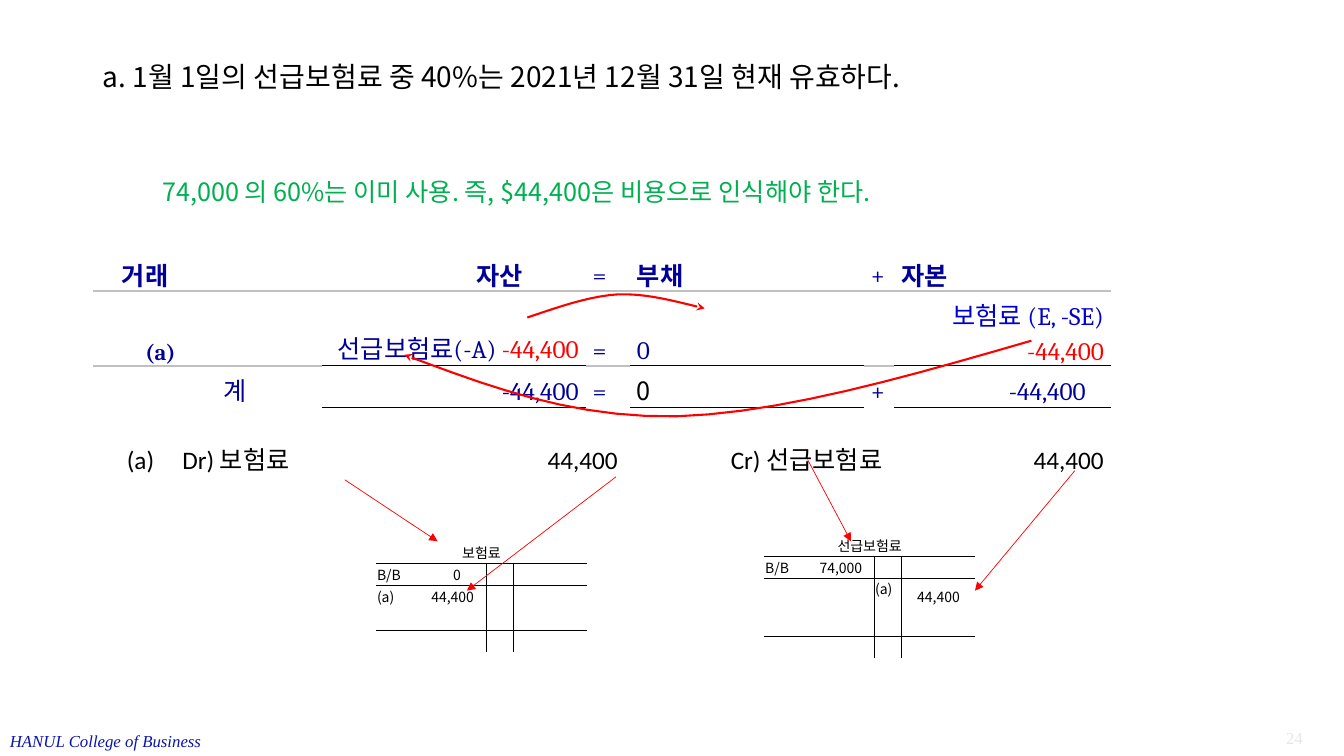
from itertools import product

from lxml import etree
from pptx import Presentation
from pptx.dml.color import RGBColor
from pptx.enum import shapes, text
from pptx.oxml import ns
from pptx.util import Inches, Pt

COLORS = {"black": "000000", "white": "FFFFFF", "navy": "000099", "blue": "0000CC",
          "red": "FF0000", "green": "00B050", "grey": "C0C0C0", "footer": "0915AF",
          "number": "E7E6E6"}
SANS, SERIF, ROMAN = "Noto Sans CJK KR", "Cambria", "Times New Roman"
LEFT, CENTER, RIGHT = text.PP_ALIGN.LEFT, text.PP_ALIGN.CENTER, text.PP_ALIGN.RIGHT
TOP, MIDDLE, BOTTOM = text.MSO_ANCHOR.TOP, text.MSO_ANCHOR.MIDDLE, text.MSO_ANCHOR.BOTTOM
PLAIN_TABLE = "{2D5ABB26-0587-4C30-8999-92F81FD0307C}"
TC_ORDER = ["lnL", "lnR", "lnT", "lnB", "noFill", "solidFill"]


def write(paragraph, words, size=18, font=SANS, color="black", bold=False, italic=False,
          align=LEFT, spacing=None):
    """Add a formatted run to a paragraph."""
    run = paragraph.add_run()
    run.text = words
    run.font.size, run.font.name = Pt(size), font
    run.font.bold, run.font.italic = bold, italic
    run.font.color.rgb = RGBColor.from_string(COLORS[color])
    east_asian = etree.SubElement(run._r.get_or_add_rPr(), ns.qn("a:ea"))
    east_asian.set("typeface", SANS)
    paragraph.alignment = align
    if spacing:
        paragraph.line_spacing = spacing


def add_text(slide, box, words, **style):
    """Place a wrapped text box and return its paragraph."""
    frame = slide.shapes.add_textbox(*map(Inches, box)).text_frame
    frame.word_wrap = True
    write(frame.paragraphs[0], words, **style)
    return frame.paragraphs[0]


def add_grid(slide, left, top, widths, heights, fill=None):
    """Add an unstyled table with small empty cells."""
    frame = slide.shapes.add_table(len(heights), len(widths), Inches(left), Inches(top),
                                   Inches(sum(widths)), Inches(sum(heights)))
    grid = frame.table
    grid.first_row = grid.horz_banding = False
    grid._tbl.tblPr.find(ns.qn("a:tableStyleId")).text = PLAIN_TABLE
    for column, width in zip(grid.columns, widths):
        column.width = Inches(width)
    for row, height in zip(grid.rows, heights):
        row.height = Inches(height)
    for cell in grid.iter_cells():
        cell.margin_top = cell.margin_bottom = 0
        paragraph = cell.text_frame.paragraphs[0]._p
        etree.SubElement(paragraph, ns.qn("a:endParaRPr")).set("sz", "600")
        if fill:
            cell.fill.solid()
            cell.fill.fore_color.rgb = RGBColor.from_string(COLORS[fill])
        else:
            cell.fill.background()
    return grid


def fill_cell(cell, words, left=0.07, right=0.07, anchor=BOTTOM, **style):
    """Write into a cell with its margins and anchor."""
    cell.margin_left, cell.margin_right = Inches(left), Inches(right)
    cell.vertical_anchor = anchor
    write(cell.text_frame.paragraphs[0], words, **style)


def add_border(cell, side, color, width):
    """Draw one border of a cell."""
    properties = cell._tc.get_or_add_tcPr()
    line = etree.SubElement(properties, ns.qn("a:ln" + side), w=str(Pt(width)))
    solid = etree.SubElement(line, ns.qn("a:solidFill"))
    etree.SubElement(solid, ns.qn("a:srgbClr"), val=COLORS[color])
    properties[:] = sorted(properties, key=lambda e: TC_ORDER.index(etree.QName(e).localname))


def rule_below(grid, row, columns, color, width):
    """Draw a horizontal rule under a row across the given columns."""
    for column in columns:
        add_border(grid.cell(row, column), "B", color, width)
        add_border(grid.cell(row + 1, column), "T", color, width)


def style_arrow(arrow, head, width):
    """Give a line its red colour, width and arrowhead."""
    arrow.line.color.rgb = RGBColor.from_string(COLORS["red"])
    arrow.line.width = Pt(width)
    etree.SubElement(arrow.line._get_or_add_ln(), ns.qn("a:tailEnd"), type=head)


def add_arrow(slide, start, end):
    """Draw a thin straight arrow."""
    arrow = slide.shapes.add_connector(shapes.MSO_CONNECTOR.STRAIGHT,
                                       *map(Inches, start + end))
    style_arrow(arrow, "triangle", 0.5)
    etree.SubElement(arrow._element.spPr, ns.qn("a:effectLst"))


def add_curve(slide, start, *segments, steps=10):
    """Draw a curved arrow through cubic segments."""
    points = [start]
    for controls in segments:
        knots = [points[-1], *controls]
        for step in range(1, steps + 1):
            t = step / steps
            weights = ((1 - t) ** 3, 3 * t * (1 - t) ** 2, 3 * t * t * (1 - t), t ** 3)
            points.append(tuple(sum(w * knot[axis] for w, knot in zip(weights, knots))
                                for axis in (0, 1)))
    outline = [(Inches(x), Inches(y)) for x, y in points]
    builder = slide.shapes.build_freeform(*outline[0])
    builder.add_line_segments(outline[1:], close=False)
    curve = builder.convert_to_shape()
    curve.fill.background()
    style_arrow(curve, "stealth", 1.5)
    curve.shadow.inherit = False


def add_title(slide, box, words):
    """Move and format the title placeholder."""
    title = slide.shapes.title
    title.left, title.top, title.width, title.height = map(Inches, box)
    title.text_frame.vertical_anchor = MIDDLE
    write(title.text_frame.paragraphs[0], words, size=20, spacing=0.9)


def add_equation(slide, left, top):
    """Build the accounting equation table."""
    widths = [0.65, 0.16, 0.16, 0.1, 1.12, 0.91, 0.64, 0.32, 0.75, 0.44, 2.32, 0.3, 2.15,
              0.27, 0.16]
    grid = add_grid(slide, left, top, widths, [0.35, 0.4, 0.74, 0.41, 0.26], "white")
    spans = [[(1, 2), (3, 6)], [(0, 4), (6, 8), (13, 14)],
             [(0, 1), (2, 4), (5, 8), (13, 14)], [(0, 1), (2, 3), (5, 8), (13, 14)],
             [(0, 1), (2, 4), (5, 8), (13, 14)]]
    for row, pairs in enumerate(spans):
        for first, last in pairs:
            grid.cell(row, first).merge(grid.cell(row, last))
    rule_below(grid, 1, range(13), "grey", 1.5)
    rule_below(grid, 2, [5, 6, 7, 8, 10, 12], "black", 1)

    bold, right = {"bold": True}, {"align": RIGHT}
    entries = [
        (1, 0, "거래", {"left": 0.29, **bold}), (1, 6, "자산", {"align": CENTER, **bold}),
        (1, 9, "=", {}), (1, 10, "부채", bold), (1, 11, "+", {}), (1, 12, "자본", bold),
        (2, 0, "(a)", {"size": 16, **bold, **right}), (2, 5, "선급보험료(-A) ", right),
        (2, 5, "-44,400", {"color": "red", **right}), (2, 9, "=", {}), (2, 10, "0", {}),
        (2, 12, "보험료 (E, -SE)", {"color": "blue", **right}),
        (3, 4, "계", {"left": 0.15}), (3, 5, "-44,400", right), (3, 9, "=", {}),
        (3, 10, "0", {"font": SANS, "color": "black"}), (3, 11, "+", {}),
        (3, 12, "-44,400", {"right": 0.25, **right})]
    for row, column, words, style in entries:
        base = {"font": SERIF, "color": "navy", "spacing": 1.15}
        fill_cell(grid.cell(row, column), words, **{**base, **style})
    expense = grid.cell(2, 12).text_frame.add_paragraph()
    write(expense, "-44,400", font=SERIF, color="red", align=RIGHT, spacing=1.15)


def add_journal(slide, box):
    """Write the journal entry on tab stops."""
    entry = add_text(slide, box, "(a)\tDr) 보험료\t44,400\tCr) 선급보험료\t44,400",
                     font="Calibri")
    tabs = etree.SubElement(entry._p.get_or_add_pPr(), ns.qn("a:tabLst"))
    for position, side in [(0.55, "l"), (4.87, "r"), (5.99, "l"), (9.69, "r")]:
        etree.SubElement(tabs, ns.qn("a:tab"), pos=str(Inches(position)), algn=side)


def add_account(slide, left, top, name, entries, posting_height=0.22):
    """Build a T account with its entries."""
    grid = add_grid(slide, left, top, [0.36, 0.73, 0.27, 0.73],
                    [0.22, 0.22, posting_height, 0.22, 0.22])
    grid.cell(0, 0).merge(grid.cell(0, 3))
    for row in (0, 3):
        rule_below(grid, row, range(4), "black", 0.5)
    for row, (column, side) in product(range(1, 5), [(1, "R"), (2, "L")]):
        add_border(grid.cell(row, column), side, "black", 0.5)
    fill_cell(grid.cell(0, 0), name, 0.01, 0.01, MIDDLE, size=10, align=CENTER)
    for row, column, words, gap, anchor in entries:
        fill_cell(grid.cell(row, column), words, 0.01, gap, anchor, size=10,
                  align=RIGHT if column % 2 else LEFT)


def build_slide(deck):
    """Assemble the adjusting entry slide."""
    slide = deck.slides.add_slide(deck.slide_layouts[5])
    add_text(slide, (0, 7.2, 2.4, 0.3), "HANUL College of Business", size=12, font=ROMAN,
             color="footer", italic=True)
    add_text(slide, (12.02, 7.17, 1, 0.3), "24", size=12, font=ROMAN, color="number",
             align=RIGHT)
    add_title(slide, (0.92, 0.4, 11.5, 0.75),
              "a. 1월 1일의 선급보험료 중 40%는 2021년 12월 31일 현재 유효하다.")
    add_equation(slide, 0.92, 2.14)
    add_text(slide, (1.51, 1.7, 8.05, 0.4),
             "74,000 의 60%는 이미 사용. 즉, $44,400은 비용으로 인식해야 한다.", color="green")
    add_curve(slide, (5.23, 3.15), [(5.53, 3.05), (5.83, 2.94), (6.13, 2.92)],
              [(6.42, 2.91), (6.7, 2.99), (6.99, 3.06)])
    add_curve(slide, (10.23, 3.38), [(8.99, 3.74), (7.74, 4.1), (6.71, 4.13)],
              [(5.67, 4.15), (4.84, 3.83), (4.01, 3.52)])
    add_journal(slide, (1.16, 4.36, 10.7, 0.4))
    add_account(slide, 3.73, 5.37, "보험료",
                [(1, 0, "B/B", 0.01, MIDDLE), (1, 1, "0", 0.25, MIDDLE),
                 (2, 0, "(a)", 0.01, MIDDLE), (2, 1, "44,400", 0.12, MIDDLE)])
    add_account(slide, 7.58, 5.3, "선급보험료",
                [(1, 0, "B/B", 0.01, MIDDLE), (1, 1, "74,000", 0.12, MIDDLE),
                 (2, 2, "(a)", 0.01, TOP), (2, 3, "44,400", 0.15, MIDDLE)], 0.35)
    for start, end in [((3.42, 4.76), (4.34, 5.37)), ((6.11, 4.73), (4.63, 5.86)),
                       ((8.01, 4.56), (8.44, 5.37)), ((10.66, 4.67), (9.67, 5.86))]:
        add_arrow(slide, start, end)


def main():
    """Create and save the deck."""
    deck = Presentation()
    deck.slide_width, deck.slide_height = Inches(13.33), Inches(7.5)
    build_slide(deck)
    deck.save("out.pptx")


if __name__ == "__main__":
    main()
